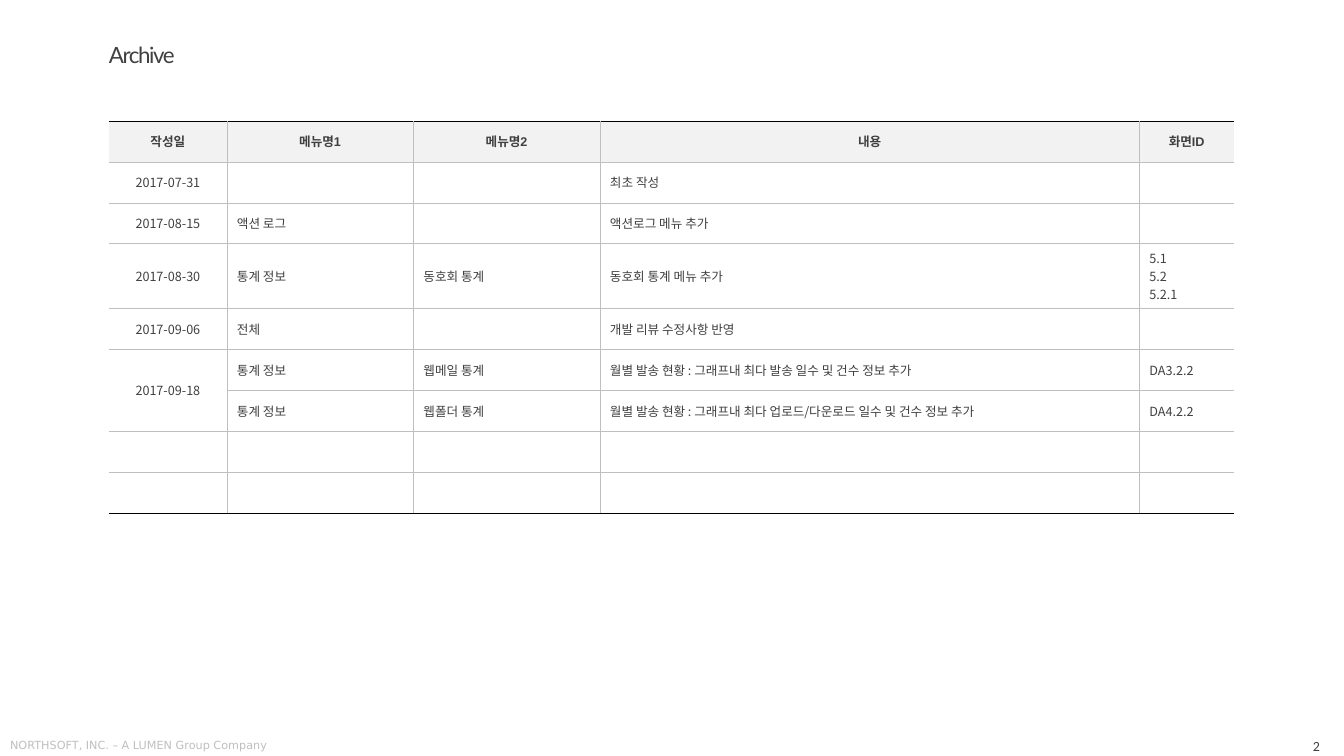
from dataclasses import dataclass

from lxml.etree import SubElement
from pptx import Presentation
from pptx.dml.color import RGBColor
from pptx.enum.text import MSO_ANCHOR as Anchor, PP_ALIGN as Align
from pptx.oxml import parse_xml
from pptx.oxml.ns import nsdecls, qn
from pptx.util import Inches, Pt


@dataclass(frozen=True)
class Theme:
    text: str = "404040"
    muted: str = "BFBFBF"
    grid: str = "BFBFBF"
    rule: str = "000000"
    header_fill: str = "F2F2F2"
    korean: str = "Noto Sans CJK KR"
    title_size: float = 16
    number_size: float = 10
    table_size: float = 9
    footer_size: float = 8
    line_width: float = 0.25


THEME = Theme()


@dataclass(frozen=True)
class Style:
    font: str
    size: float
    color: str = THEME.text
    bold: bool = False
    align: Align = Align.LEFT
    tracking: float = 0


@dataclass(frozen=True)
class Label:
    text: str
    box: tuple[float, float, float, float]
    style: Style
    insets: tuple[float, float] = (0.04, 0.05)
    anchor: Anchor = Anchor.TOP
    line_spacing: float = 1.0
    space_before: float = 0


@dataclass(frozen=True)
class Entry:
    date: str = ""
    menu1: str = ""
    menu2: str = ""
    content: str = ""
    screen_id: str = ""

    def values(self) -> tuple[str, ...]:
        return self.date, self.menu1, self.menu2, self.content, self.screen_id


LABELS = [
    Label("2", (12.42, 7.29, 0.71, 0.21),
          Style("Calibri", THEME.number_size, align=Align.RIGHT), anchor=Anchor.MIDDLE),
    Label("NORTHSOFT, INC. – A LUMEN Group Company", (0.06, 7.28, 3.59, 0.21),
          Style("DejaVu Sans", THEME.footer_size, THEME.muted)),
    Label("Archive", (1.08, 0.44, 9.37, 0.36),
          Style("Lato", THEME.title_size, tracking=-1),
          insets=(0, 0), line_spacing=0.9, space_before=10),
]

ENTRIES = [
    Entry("작성일", "메뉴명1", "메뉴명2", "내용", "화면ID"),
    Entry("2017-07-31", content="최초 작성"),
    Entry("2017-08-15", "액션 로그", content="액션로그 메뉴 추가"),
    Entry("2017-08-30", "통계 정보", "동호회 통계", "동호회 통계 메뉴 추가", "5.1\n5.2\n5.2.1"),
    Entry("2017-09-06", "전체", content="개발 리뷰 수정사항 반영"),
    Entry("2017-09-18", "통계 정보", "웹메일 통계",
          "월별 발송 현황 : 그래프내 최다 발송 일수 및 건수 정보 추가", "DA3.2.2"),
    Entry("", "통계 정보", "웹폴더 통계",
          "월별 발송 현황 : 그래프내 최다 업로드/다운로드 일수 및 건수 정보 추가", "DA4.2.2"),
    Entry(),
    Entry(),
]
SHARED_DATE_ROW = 5
COLUMN_WIDTHS = (1.17, 1.85, 1.85, 5.35, 0.94)
TABLE_LEFT, TABLE_TOP, TABLE_HEIGHT = 1.08, 1.2, 3.65

HEADER = Style("Arial", THEME.table_size, bold=True, align=Align.CENTER)
DATE = Style(THEME.korean, THEME.table_size, align=Align.CENTER)
BODY = Style(THEME.korean, THEME.table_size)


def style_paragraph(p, style: Style) -> None:
    p.alignment = style.align
    font = p.font
    font.name, font.size, font.bold = style.font, Pt(style.size), style.bold
    font.color.rgb = RGBColor.from_string(style.color)
    props = p._p.pPr.find(qn("a:defRPr"))
    SubElement(props, qn("a:ea")).set("typeface", THEME.korean)
    if style.tracking:
        props.set("spc", str(round(style.tracking * 100)))


def add_label(slide, label: Label) -> None:
    tf = slide.shapes.add_textbox(*map(Inches, label.box)).text_frame
    tf.word_wrap = True
    tf.vertical_anchor = label.anchor
    tf.margin_left = tf.margin_right = Inches(label.insets[0])
    tf.margin_top = tf.margin_bottom = Inches(label.insets[1])
    p = tf.paragraphs[0]
    p.text = label.text
    p.line_spacing = label.line_spacing
    p.space_before = Pt(label.space_before)
    style_paragraph(p, label.style)


def set_borders(cell, colors: dict[str, str | None]) -> None:
    """Draw the given sides (L, R, T, B in that order); None leaves a side open."""
    props = cell._tc.get_or_add_tcPr()
    for i, (side, color) in enumerate(colors.items()):
        fill = (f'<a:solidFill><a:srgbClr val="{color}"/></a:solidFill>'
                if color else "<a:noFill/>")
        props.insert(i, parse_xml(
            f'<a:ln{side} {nsdecls("a")} w="{Pt(THEME.line_width)}">{fill}</a:ln{side}>'))


def fill_cell(cell, text: str, style: Style, fill: str | None) -> None:
    cell.vertical_anchor = Anchor.MIDDLE
    cell.text_frame.text = text
    for p in cell.text_frame.paragraphs:
        style_paragraph(p, style)
    if fill:
        cell.fill.solid()
        cell.fill.fore_color.rgb = RGBColor.from_string(fill)
    else:
        cell.fill.background()


def add_archive_table(slide) -> None:
    last_row, last_col = len(ENTRIES) - 1, len(COLUMN_WIDTHS) - 1
    table = slide.shapes.add_table(
        len(ENTRIES), len(COLUMN_WIDTHS), Inches(TABLE_LEFT), Inches(TABLE_TOP),
        Inches(sum(COLUMN_WIDTHS)), Inches(TABLE_HEIGHT)).table
    table.first_row = table.horz_banding = False
    for column, width in zip(table.columns, COLUMN_WIDTHS):
        column.width = Inches(width)
    for r, entry in enumerate(ENTRIES):
        for c, text in enumerate(entry.values()):
            cell = table.cell(r, c)
            style = HEADER if r == 0 else DATE if c == 0 else BODY
            fill_cell(cell, text, style, THEME.header_fill if r == 0 else None)
            set_borders(cell, {
                "L": THEME.grid if c > 0 else None,
                "R": THEME.grid if c < last_col else None,
                "T": THEME.grid if r > 0 else THEME.rule,
                "B": THEME.grid if r < last_row else THEME.rule,
            })
    table.cell(SHARED_DATE_ROW, 0).merge(table.cell(SHARED_DATE_ROW + 1, 0))


def main() -> None:
    prs = Presentation()
    prs.slide_width, prs.slide_height = Inches(13.33), Inches(7.5)
    slide = prs.slides.add_slide(prs.slide_layouts[6])
    add_archive_table(slide)
    for label in LABELS:
        add_label(slide, label)
    prs.save("out.pptx")


if __name__ == "__main__":
    main()
